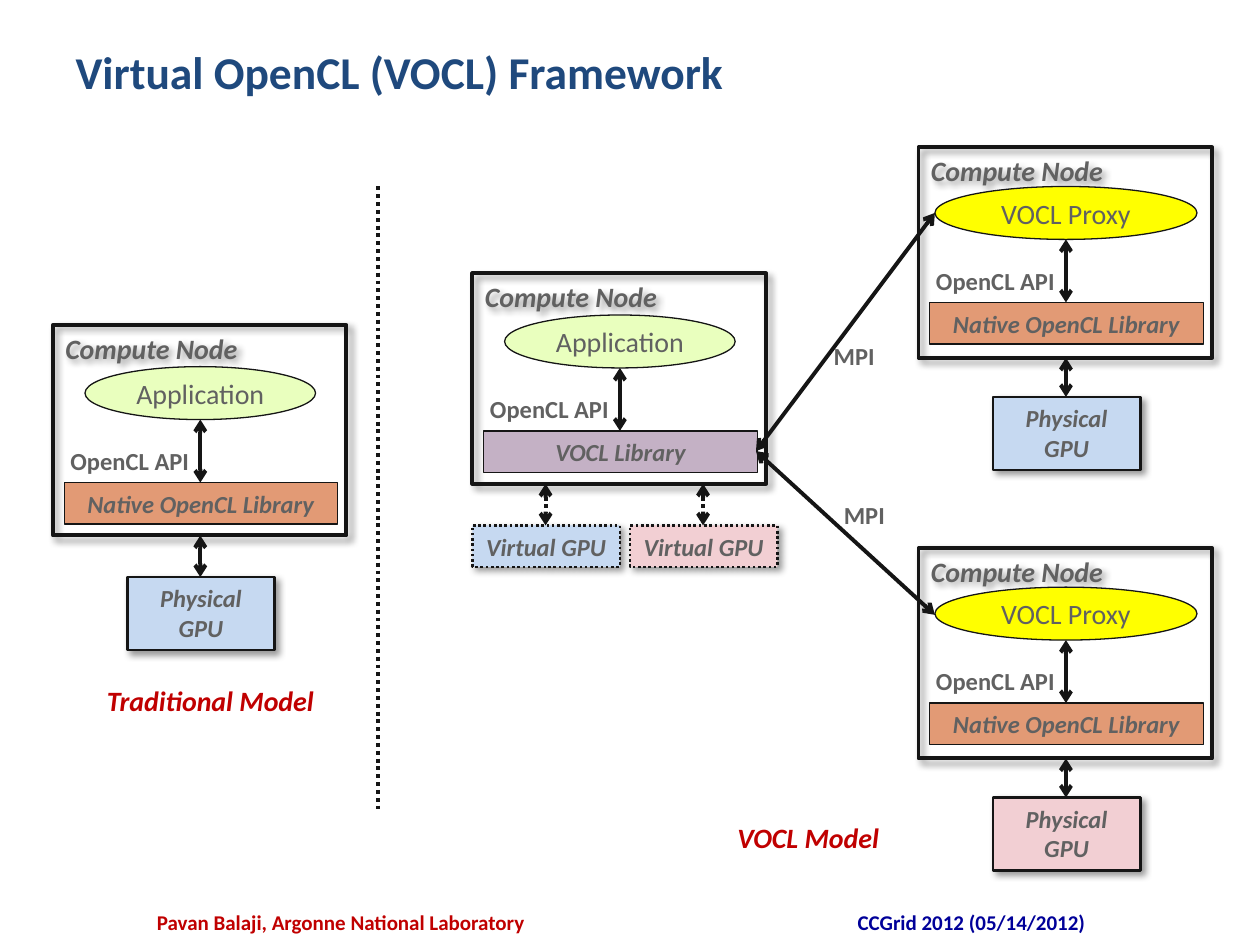
"""Build the Virtual OpenCL (VOCL) Framework slide."""
from lxml import etree
from pptx import Presentation, util as u
from pptx.dml.color import RGBColor
from pptx.enum import dml, shapes, text
from pptx.oxml import parse_xml
from pptx.oxml.ns import nsdecls, qn

INK, GRAY, RED = "151515", "616161", "C00000"
BLUE, PINK, GREEN, ORANGE = "C6D9F1", "F2CFD3", "E9FFBE", "E29A75"
RECT, OVAL = shapes.MSO_SHAPE.RECTANGLE, shapes.MSO_SHAPE.OVAL
LEFT, CENTER = text.PP_ALIGN.LEFT, text.PP_ALIGN.CENTER
DOTTED = dml.MSO_LINE.ROUND_DOT
SHADOW = (
    f'<a:outerShdw {nsdecls("a")} blurRad="50800" dist="38100" dir="2700000" algn="tl" rotWithShape="0">'
    '<a:srgbClr val="000000"><a:alpha val="40000"/></a:srgbClr></a:outerShdw>'
)


def add_box(at, words, size, kind=None, fill=None, width=0.75, dash=None, shadow=False,
            color=GRAY, align=CENTER, anchor=text.MSO_ANCHOR.TOP, bold=True, italic=False):
    """Add a preset shape, or a text box when no kind is given."""
    place = [u.Inches(value) for value in at]
    if kind is None:
        box = page.shapes.add_textbox(*place)
    else:
        box = page.shapes.add_shape(kind, *place)
        box.shadow.inherit = False
        box.line.color.rgb = RGBColor.from_string(INK)
        box.line.width = u.Pt(width)
        if dash:
            box.line.dash_style = dash
        if fill:
            box.fill.solid()
            box.fill.fore_color.rgb = RGBColor.from_string(fill)
        else:
            box.fill.background()
        if shadow:
            box._element.spPr.find(qn("a:effectLst")).append(parse_xml(SHADOW))
    frame = box.text_frame
    frame.word_wrap = True
    frame.vertical_anchor = anchor
    para = frame.paragraphs[0]
    para.alignment = align
    span = para.add_run()
    span.text = words
    span.font.color.rgb = RGBColor.from_string(color)
    for name, value in dict(name="Calibri", size=u.Pt(size), bold=bold, italic=italic).items():
        setattr(span.font, name, value)


def add_line(start, end, dash=None, arrows=True):
    """Add a straight line, with open arrowheads at both ends by default."""
    points = [u.Inches(value) for value in (*start, *end)]
    line = page.shapes.add_connector(shapes.MSO_CONNECTOR.STRAIGHT, *points)
    line.line.color.rgb = RGBColor.from_string(INK)
    line.line.width = u.Pt(2.25)
    if dash:
        line.line.dash_style = dash
    if arrows:
        for tag in ("a:headEnd", "a:tailEnd"):
            etree.SubElement(line.line._get_or_add_ln(), qn(tag), type="arrow")
    etree.SubElement(line._element.spPr, qn("a:effectLst"))


deck = Presentation()
deck.slide_width, deck.slide_height = u.Inches(10), u.Inches(7.5)
page = deck.slides.add_slide(deck.slide_layouts[5])

title = page.shapes.title
for name, value in dict(left=0.5, top=0.3, width=9, height=0.87).items():
    setattr(title, name, u.Inches(value))
title.text_frame.text = "Virtual OpenCL (VOCL) Framework"
title.text_frame.vertical_anchor = text.MSO_ANCHOR.TOP
title.text_frame.auto_size = text.MSO_AUTO_SIZE.NONE
para = title.text_frame.paragraphs[0]
para.alignment = LEFT
para.font.color.rgb = RGBColor.from_string("1F497D")
for name, value in dict(name="Calibri", size=u.Pt(26), bold=True).items():
    setattr(para.font, name, value)

application = ("Application", 1.83, GREEN)
proxy = ("VOCL Proxy", 2.08, "FFFF00")
native = ("Native OpenCL Library", ORANGE)
virtual = ("VOCL Library", "C4B1C5")
nodes = [
    (0.42, 2.58, 0, application, native, [(1.17, "Physical GPU", 0.58, BLUE, None)]),
    (3.75, 2.17, 0, application, virtual, [(0.58, "Virtual GPU", 0.33, BLUE, DOTTED),
                                           (1.83, "Virtual GPU", 0.33, PINK, DOTTED)]),
    (7.29, 1.17, 0.02, proxy, native, [(1.17, "Physical GPU", 0.58, BLUE, None)]),
    (7.29, 4.35, 0.02, proxy, native, [(1.17, "Physical GPU", 0.58, PINK, None)]),
]
for left, top, lift, (program, oval_width, oval_fill), (library, library_fill), gpus in nodes:
    middle, row = left + 1.17, top - lift
    add_box((left, top, 2.33, 1.67), "Compute Node", 16, RECT, width=2.25, shadow=True,
            align=LEFT, italic=True)
    add_box((middle - oval_width / 2, row + 0.33, oval_width, 0.42), program, 16, OVAL, oval_fill,
            anchor=text.MSO_ANCHOR.MIDDLE, bold=False)
    add_box((middle - 1.08, row + 1.25, 2.17, 0.33), library, 14, RECT, library_fill, italic=True)
    add_line((middle, row + 0.75), (middle, row + 1.25))
    add_box((left + 0.04, row + 0.91, 1.21, 0.34), "OpenCL API", 14, align=LEFT)
    for offset, gpu, height, fill, dash in gpus:
        center = left + offset
        add_box((center - 0.58, row + 2, 1.17, height), gpu, 14, RECT, fill, 1.5, dash,
                shadow=True, italic=True)
        add_line((center, top + 1.67), (center, row + 2), dash)

for proxy_top, label_left, label_top in [(1.69, 6.48, 2.66), (4.88, 6.56, 3.92)]:
    add_line((7.42, proxy_top), (6, 3.58))
    add_box((label_left, label_top, 0.6, 0.34), "MPI", 14)

add_line((3, 1.48), (3, 6.42), DOTTED, arrows=False)
add_box((0.67, 5.38, 2, 0.37), "Traditional Model", 16, color=RED, italic=True)
add_box((5.5, 6.46, 1.83, 0.37), "VOCL Model", 16, color=RED, italic=True)
add_box((1.08, 7.17, 3.25, 0.25), "Pavan Balaji, Argonne National Laboratory", 12, color=RED)
add_box((5.75, 7.17, 3.92, 0.25), "CCGrid 2012 (05/14/2012)", 12, color="000099")

deck.save("out.pptx")
